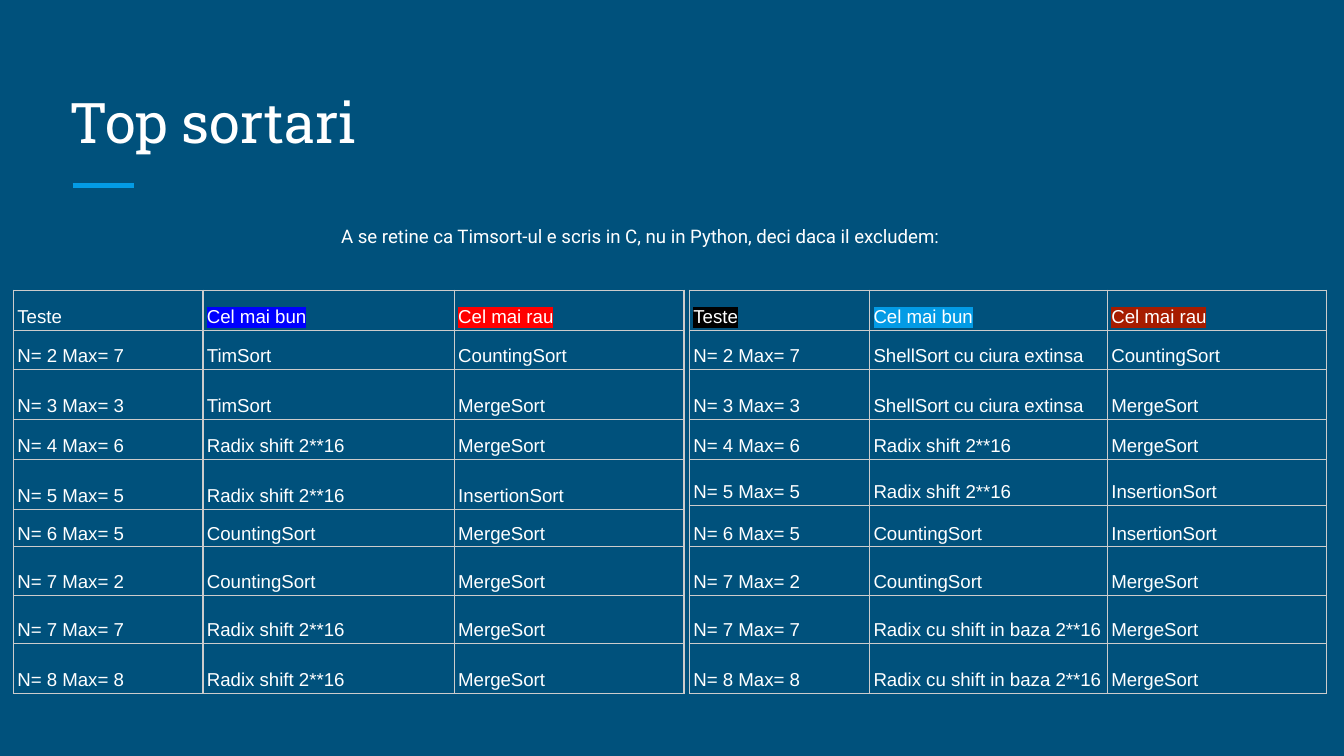
"""Build the slide that ranks the best and worst sorts per test."""
from dataclasses import dataclass

from lxml.etree import SubElement as Sub
from pptx import Presentation
from pptx.dml.color import RGBColor as Rgb
from pptx.enum.shapes import MSO_CONNECTOR as Link
from pptx.enum.text import MSO_ANCHOR as Anchor
from pptx.oxml import parse_xml
from pptx.oxml.ns import nsdecls, qn
from pptx.slide import Slide
from pptx.table import _Cell as Cell
from pptx.text.text import _Paragraph as Para
from pptx.util import Inches, Pt


@dataclass(frozen=True)
class Theme:
    """Colours, fonts and sizes of the slide."""
    back: str = "00517C"
    ink: str = "FFFFFF"
    accent: str = "039BE5"
    grid: str = "CCCCCC"
    head: str = "Roboto Slab"
    body: str = "Roboto"
    data: str = "Arial"
    big: int = 30
    small: int = 10


@dataclass(frozen=True)
class Label:
    """A line of text in a box."""
    text: str
    box: tuple[float, float, float, float]
    font: str
    size: int
    anchor: Anchor


@dataclass(frozen=True)
class Board:
    """A table of results, with the marker colour of each heading."""
    left: float
    cols: tuple[float, ...]
    rows: tuple[float, ...]
    marks: tuple[str, ...]
    best: tuple[str, ...]
    worst: tuple[str, ...]
    rule: float


THEME = Theme()
WIDTH = 10
HEIGHT = WIDTH * 9 / 16
TOP = 2.16
HEADS = ("Teste", "Cel mai bun", "Cel mai rau")
TESTS = tuple(
    f"N= {n} Max= {top}"
    for n, top in ((2, 7), (3, 3), (4, 6), (5, 5), (6, 5), (7, 2), (7, 7), (8, 8))
)
TIM, SHELL, COUNT = "TimSort", "ShellSort cu ciura extinsa", "CountingSort"
RADIX, BASE = "Radix shift 2**16", "Radix cu shift in baza 2**16"
MERGE, INSERT = "MergeSort", "InsertionSort"

LABELS = (
    Label("Top sortari", (0.42, 0.5, 9.15, 0.75), THEME.head, THEME.big, Anchor.BOTTOM),
    Label("A se retine ca Timsort-ul e scris in C, nu in Python, deci daca il excludem:",
          (2.44, 1.59, 5.6, 0.37), THEME.body, THEME.small, Anchor.TOP),
)
BOARDS = (
    Board(5.13, (1.34, 1.77, 1.63),
          (0.3, 0.29, 0.37, 0.3, 0.34, 0.31, 0.36, 0.36, 0.37),
          ("000000", THEME.accent, "A61C00"),
          (SHELL, SHELL, RADIX, RADIX, COUNT, COUNT, BASE, BASE),
          (COUNT, MERGE, MERGE, INSERT, INSERT, MERGE, MERGE, MERGE), 0.83),
    Board(0.1, (1.41, 1.87, 1.71),
          (0.3, 0.29, 0.37, 0.3, 0.37, 0.28, 0.36, 0.36, 0.37),
          ("", "0000FF", "FF0000"),
          (TIM, TIM, RADIX, RADIX, COUNT, COUNT, RADIX, RADIX),
          (COUNT, MERGE, MERGE, INSERT, MERGE, MERGE, MERGE, MERGE), 0.75),
)


def style(para: Para, font: str, size: int) -> None:
    """Set the type of a paragraph."""
    para.font.name = font
    para.font.size = Pt(size)
    para.font.color.rgb = Rgb.from_string(THEME.ink)


def add_label(slide: Slide, label: Label) -> None:
    """Draw a text box."""
    frame = slide.shapes.add_textbox(*map(Inches, label.box)).text_frame
    frame.word_wrap = True
    frame.vertical_anchor = label.anchor
    frame.margin_left = frame.margin_right = Inches(0.1)
    frame.margin_top = frame.margin_bottom = Inches(0.1)
    frame.text = label.text
    style(frame.paragraphs[0], label.font, label.size)


def add_bar(slide: Slide) -> None:
    """Draw the short accent line below the title."""
    bar = slide.shapes.add_connector(
        Link.STRAIGHT, Inches(0.54), Inches(1.38), Inches(1), Inches(1.38))
    bar.line.color.rgb = Rgb.from_string(THEME.accent)
    bar.line.width = Pt(3)
    Sub(bar._element.spPr, qn("a:effectLst"))


def add_grid(cell: Cell, rule: float) -> None:
    """Give a cell a border on all four sides."""
    props = cell._tc.get_or_add_tcPr()
    for spot, side in enumerate("LRTB"):
        props.insert(spot, parse_xml(
            f'<a:ln{side} {nsdecls("a")} w="{int(Pt(rule))}"><a:solidFill>'
            f'<a:srgbClr val="{THEME.grid}"/></a:solidFill></a:ln{side}>'))


def fill_cell(cell: Cell, text: str, mark: str, rule: float) -> None:
    """Write and style one cell, with a marker colour if there is one."""
    cell.fill.background()
    cell.vertical_anchor = Anchor.BOTTOM
    cell.margin_left = cell.margin_right = Inches(0.03)
    cell.margin_top = cell.margin_bottom = Inches(0.02)
    cell.text = text
    para = cell.text_frame.paragraphs[0]
    para.line_spacing = 1.15
    style(para, THEME.data, THEME.small)
    if mark:
        light = Sub(para.runs[0]._r.get_or_add_rPr(), qn("a:highlight"))
        Sub(light, qn("a:srgbClr"), val=mark)
    add_grid(cell, rule)


def add_board(slide: Slide, board: Board) -> None:
    """Draw a table of results."""
    lines = (HEADS, *zip(TESTS, board.best, board.worst))
    table = slide.shapes.add_table(
        len(lines), len(HEADS), Inches(board.left), Inches(TOP),
        Inches(sum(board.cols)), Inches(sum(board.rows))).table
    table.first_row = table.horz_banding = False
    for col, width in zip(table.columns, board.cols):
        col.width = Inches(width)
    for row, height in zip(table.rows, board.rows):
        row.height = Inches(height)
    for r, line in enumerate(lines):
        for c, text in enumerate(line):
            mark = board.marks[c] if r == 0 else ""
            fill_cell(table.cell(r, c), text, mark, board.rule)


def main() -> None:
    """Build and save the deck."""
    deck = Presentation()
    deck.slide_width, deck.slide_height = Inches(WIDTH), Inches(HEIGHT)
    slide = deck.slides.add_slide(deck.slide_layouts[6])
    back = slide.background.fill
    back.solid()
    back.fore_color.rgb = Rgb.from_string(THEME.back)
    add_bar(slide)
    for label in LABELS:
        add_label(slide, label)
    for board in BOARDS:
        add_board(slide, board)
    deck.save("out.pptx")


if __name__ == "__main__":
    main()
